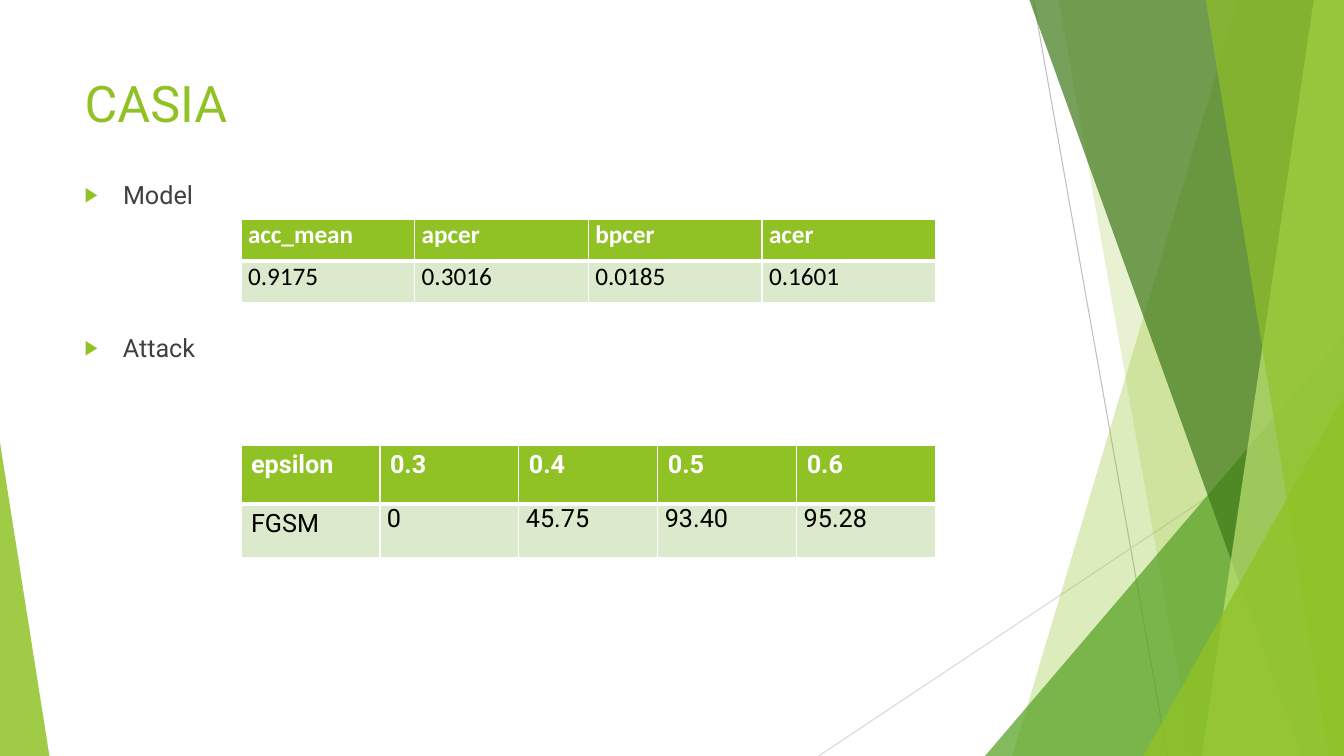
import pptx
import pptx.util
import pptx.dml.color
import pptx.enum.shapes
import pptx.enum.text
import pptx.oxml
import pptx.oxml.ns

Inches, Pt = pptx.util.Inches, pptx.util.Pt
RGBColor = pptx.dml.color.RGBColor

# Content
TITLE = "CASIA"
MODEL_LABEL, ATTACK_LABEL = "Model", "Attack"
MODEL_ROWS = [
    ("acc_mean", "apcer", "bpcer", "acer"),
    ("0.9175", "0.3016", "0.0185", "0.1601"),
]
ATTACK_ROWS = [
    ("epsilon", "0.3", "0.4", "0.5", "0.6"),
    ("FGSM", "0", "45.75", "93.40", "95.28"),
]

# Look
LIME = RGBColor(0x90, 0xC2, 0x26)
GREEN = RGBColor(0x54, 0xA0, 0x21)
DARK_GREEN = RGBColor(0x3F, 0x78, 0x19)
PALE_LIME = RGBColor(0xC0, 0xE4, 0x74)
PALE_GREEN = RGBColor(0xDB, 0xE9, 0xCD)
WHITE = RGBColor(0xFF, 0xFF, 0xFF)
BLACK = RGBColor(0, 0, 0)
TEXT_GREY = RGBColor(0x40, 0x40, 0x40)
LINE_GREY = RGBColor(0xBF, 0xBF, 0xBF)
LIGHT_GREY = RGBColor(0xD9, 0xD9, 0xD9)
NAMESPACE = pptx.oxml.ns.nsdecls("a")

# Layout in inches
WIDTH, HEIGHT = 13.33, 7.5
TEXT_LEFT, TEXT_WIDTH = 0.74, 9.4
TABLE_LEFT, TABLE_WIDTH = 2.39, 6.89
TIGHT, ROOMY = (0.07, 0), (0.1, 0.05)

# Start and end of each thin line, colour
THIN_LINES = [
    ((10.25, 0), (11.58, HEIGHT), LINE_GREY),
    ((WIDTH, 4.03), (8.12, HEIGHT), LIGHT_GREY),
]
# Facets reach the right edge: top-left x, bottom-left x, colour, opacity
BACK_FACETS = [(12.28, 10.04, LIME, 30), (10.5, 11.83, LIME, 20)]
FRONT_FACETS = [
    (10.21, 12.91, DARK_GREEN, 70),
    (13.03, 11.92, PALE_LIME, 70),
    (11.96, 13.18, LIME, 65),
]
# Corner triangles stand on the bottom edge: left, top, width, apex, colour, opacity
MIDDLE_TRIANGLE = (9.77, 3.33, 3.56, 1, GREEN, 72)
FRONT_TRIANGLES = [(11.34, 3.93, 1.99, 1, LIME, 80), (0, 4.39, 0.49, 0, LIME, 85)]


def append_xml(parent, xml):
    parent.append(pptx.oxml.parse_xml(xml))


def paint(shape, color, opacity):
    shape.shadow.inherit = False
    shape.line.fill.background()
    shape.fill.solid()
    shape.fill.fore_color.rgb = color
    color_element = shape._element.spPr.find(
        "a:solidFill/a:srgbClr", pptx.oxml.ns._nsmap)
    append_xml(color_element, f'<a:alpha {NAMESPACE} val="{opacity * 1000}"/>')


def add_thin_line(slide, start, end, color):
    line = slide.shapes.add_connector(
        pptx.enum.shapes.MSO_CONNECTOR.STRAIGHT, *map(Inches, start + end))
    line.line.color.rgb = color
    line.line.width = Pt(0.75)
    append_xml(line._element.spPr, f"<a:effectLst {NAMESPACE}/>")


def add_facet(slide, top_x, bottom_x, color, opacity):
    corners = [(top_x, 0), (WIDTH, 0), (WIDTH, HEIGHT), (bottom_x, HEIGHT)]
    points = [(Inches(x), Inches(y)) for x, y in corners]
    builder = slide.shapes.build_freeform(*points[0])
    builder.add_line_segments(points[1:], close=True)
    paint(builder.convert_to_shape(), color, opacity)


def add_triangle(slide, left, top, width, apex, color, opacity):
    triangle = slide.shapes.add_shape(
        pptx.enum.shapes.MSO_SHAPE.ISOSCELES_TRIANGLE,
        Inches(left), Inches(top), Inches(width), Inches(HEIGHT - top))
    triangle.adjustments[0] = apex
    paint(triangle, color, opacity)


def style_text(text_frame, name, size, color, bold=False):
    for paragraph in text_frame.paragraphs:
        for run in paragraph.runs:
            run.font.name = name
            run.font.size = Pt(size)
            run.font.color.rgb = color
            run.font.bold = bold


def fill_text(shape, text, top, height, size, color):
    shape.left, shape.top = Inches(TEXT_LEFT), Inches(top)
    shape.width, shape.height = Inches(TEXT_WIDTH), Inches(height)
    frame = shape.text_frame
    frame.text = text
    frame.word_wrap = True
    frame.auto_size = pptx.enum.text.MSO_AUTO_SIZE.NONE
    frame.vertical_anchor = pptx.enum.text.MSO_ANCHOR.TOP
    frame.paragraphs[0].alignment = pptx.enum.text.PP_ALIGN.LEFT
    style_text(frame, "Roboto", size, color)


def fill_bullet(shape, text, top):
    fill_text(shape, text, top, 1.26, 18, TEXT_GREY)
    paragraph = shape.text_frame.paragraphs[0]
    paragraph.space_before = Pt(10)
    properties = paragraph._p.get_or_add_pPr()
    properties.set("marL", str(Inches(0.38)))
    properties.set("indent", str(-Inches(0.38)))
    for bullet_part in (
        f'<a:buClr {NAMESPACE}><a:srgbClr val="{LIME}"/></a:buClr>',
        f'<a:buSzPct {NAMESPACE} val="80000"/>',
        f'<a:buFont {NAMESPACE} typeface="Roboto"/>',
        f'<a:buChar {NAMESPACE} char="▶"/>',
    ):
        append_xml(properties, bullet_part)


def add_borders(cell, header):
    # The rule between header and body is thicker than the others
    widths = {"L": 1, "R": 1, "T": 1 if header else 3, "B": 3 if header else 1}
    properties = cell._tc.get_or_add_tcPr()
    for side, width in widths.items():
        append_xml(properties, (
            f'<a:ln{side} {NAMESPACE} w="{Pt(width)}"><a:solidFill>'
            f'<a:srgbClr val="{WHITE}"/></a:solidFill></a:ln{side}>'))


def add_results(slide, rows, top, row_heights, font, margins_of):
    table = slide.shapes.add_table(
        len(rows), len(rows[0]), Inches(TABLE_LEFT), Inches(top),
        Inches(TABLE_WIDTH), Inches(sum(row_heights))).table
    for column in table.columns:
        column.width = Inches(TABLE_WIDTH / len(rows[0]))
    for r, values in enumerate(rows):
        table.rows[r].height = Inches(row_heights[r])
        header = r == 0
        for c, value in enumerate(values):
            cell = table.cell(r, c)
            cell.text = value
            side, edge = margins_of(r, c)
            cell.margin_left = cell.margin_right = Inches(side)
            cell.margin_top = cell.margin_bottom = Inches(edge)
            add_borders(cell, header)
            cell.fill.solid()
            cell.fill.fore_color.rgb = LIME if header else PALE_GREEN
            style_text(cell.text_frame, font, 18, WHITE if header else BLACK, header)


def main():
    presentation = pptx.Presentation()
    presentation.slide_width = Inches(WIDTH)
    presentation.slide_height = Inches(HEIGHT)
    slide = presentation.slides.add_slide(presentation.slide_layouts[1])

    # Faceted decoration
    for thin_line in THIN_LINES:
        add_thin_line(slide, *thin_line)
    for facet in BACK_FACETS:
        add_facet(slide, *facet)
    add_triangle(slide, *MIDDLE_TRIANGLE)
    for facet in FRONT_FACETS:
        add_facet(slide, *facet)
    for triangle in FRONT_TRIANGLES:
        add_triangle(slide, *triangle)

    # Title and list labels
    fill_text(slide.shapes.title, TITLE, 0.67, 1.44, 36, LIME)
    fill_bullet(slide.placeholders[1], MODEL_LABEL, 1.73)
    fill_bullet(slide.shapes.add_textbox(0, 0, 0, 0), ATTACK_LABEL, 3.25)

    # Result tables
    add_results(slide, MODEL_ROWS, 2.18, (0.41, 0.41), "Calibri",
                lambda r, c: TIGHT)
    add_results(slide, ATTACK_ROWS, 4.42, (0.58, 0.53), "Roboto",
                lambda r, c: TIGHT if r and c else ROOMY)

    presentation.save("out.pptx")


if __name__ == "__main__":
    main()
